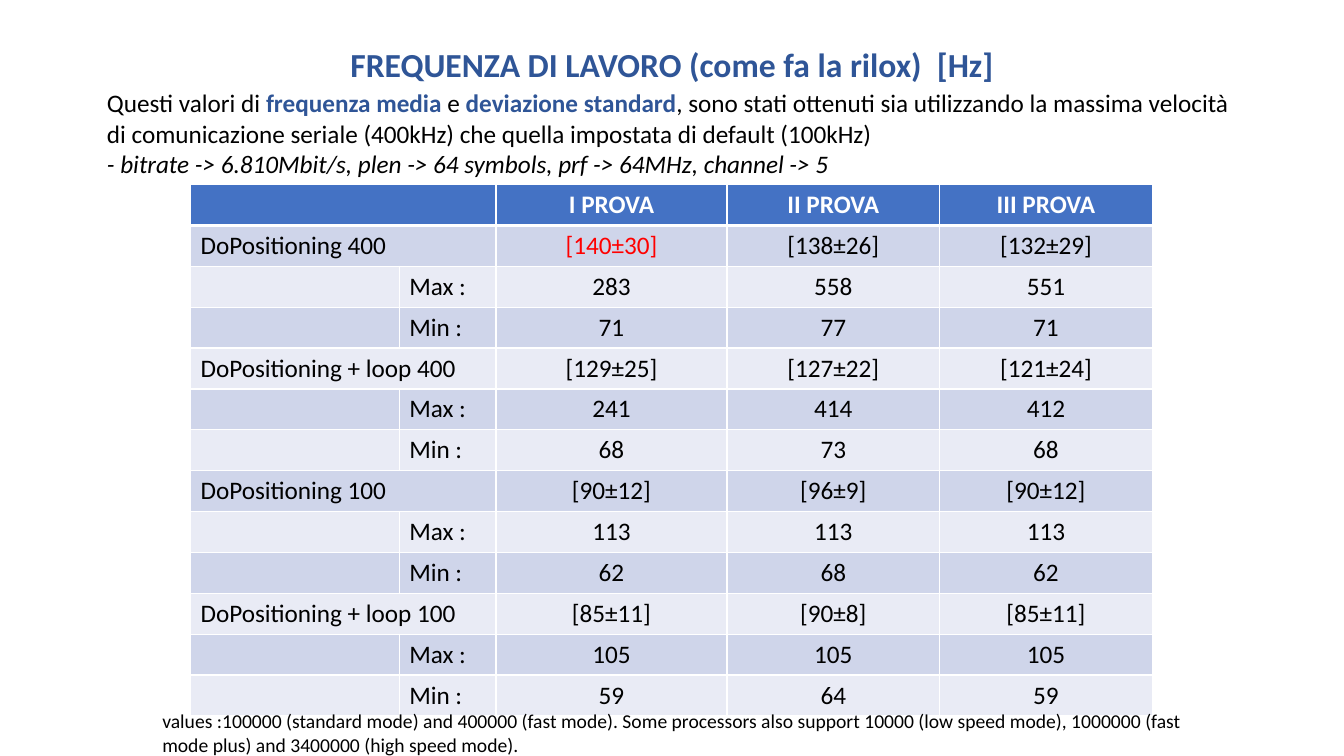
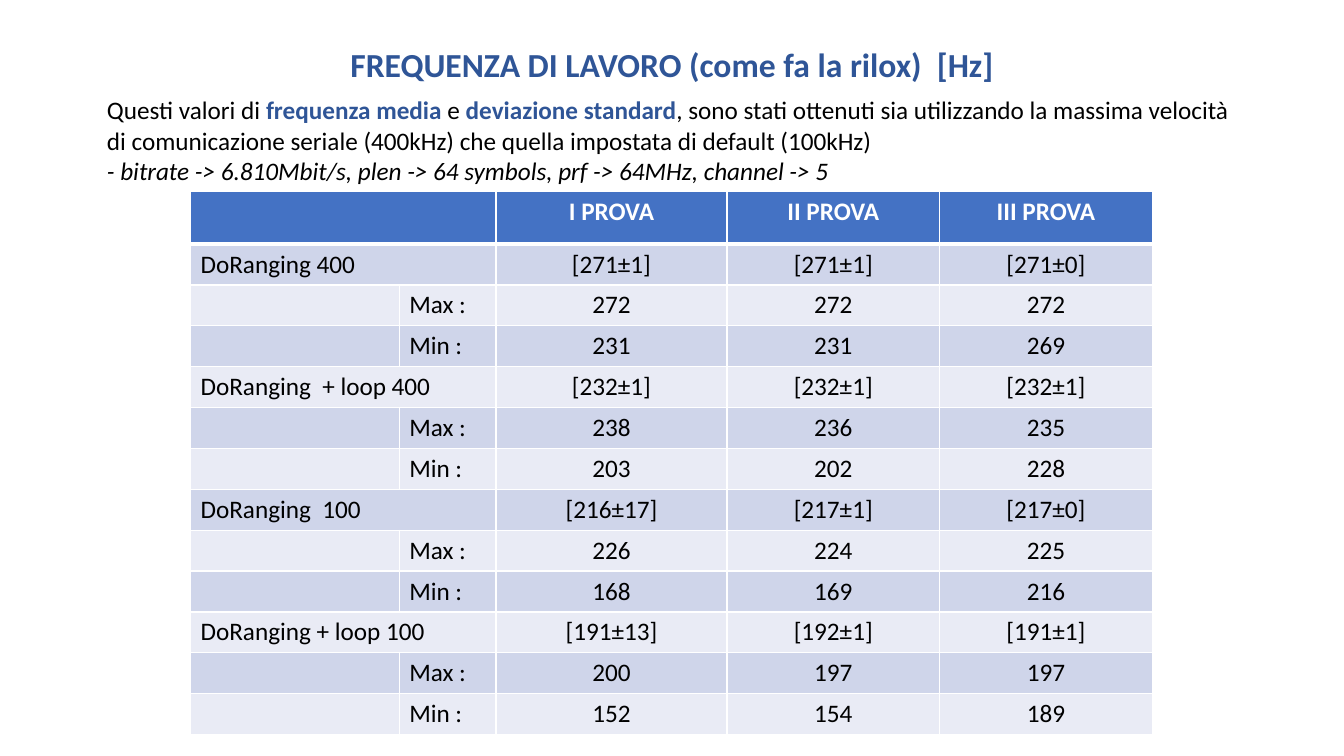
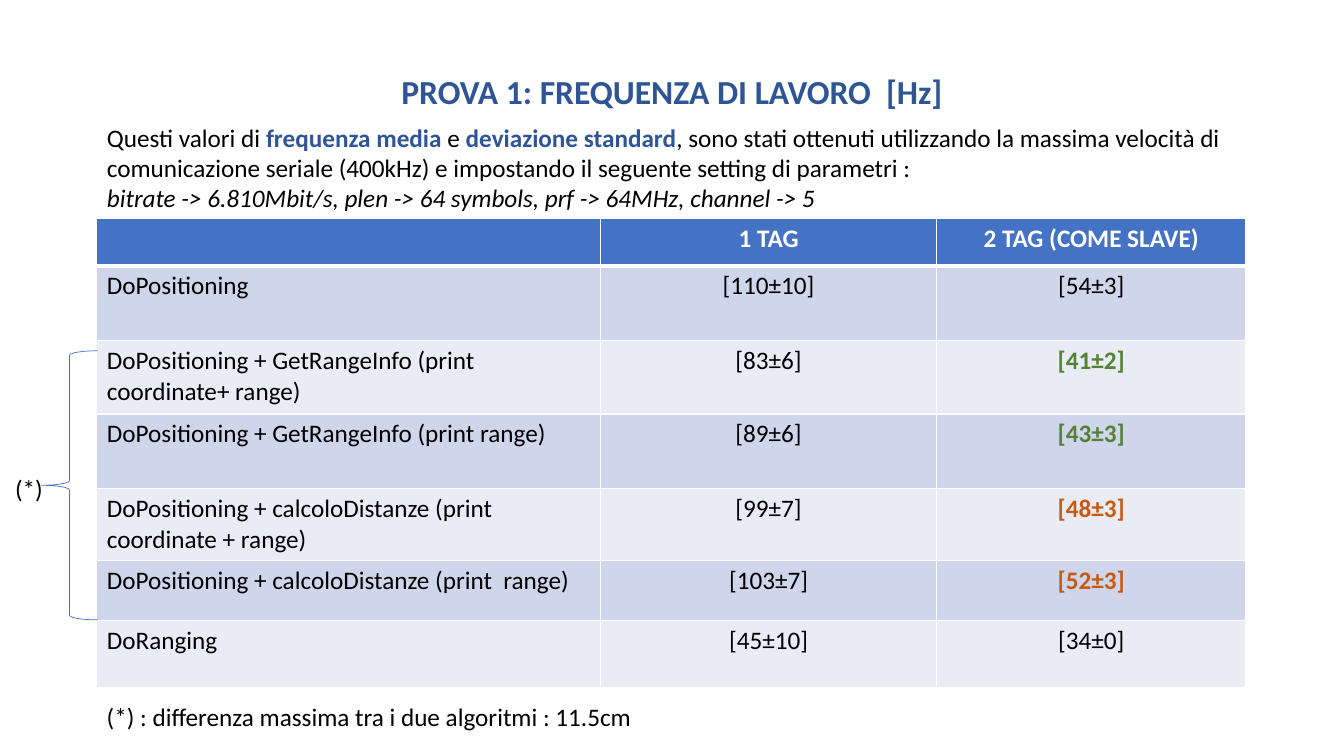
import pptx
import pptx.util
import pptx.dml.color
import pptx.enum.shapes
import pptx.enum.text
import pptx.oxml
import pptx.oxml.ns

Cm = pptx.util.Cm
Pt = pptx.util.Pt
MID = pptx.enum.text.PP_ALIGN.CENTER
LEFT = pptx.enum.text.PP_ALIGN.LEFT
TOP = pptx.enum.text.MSO_ANCHOR.TOP
FIXED = pptx.enum.text.MSO_AUTO_SIZE.NONE

# Shared look
BLUE, NAVY, BLACK, WHITE = "4472C4", "2F5597", "000000", "FFFFFF"
BANDS = ["E9EBF5", "CFD5EA"]
RED, GREEN, RUST = "FF0000", "548235", "C55A11"
WIDE, HIGH = 33.87, 19.05
FONT = {"name": "Calibri", "size": Pt(18), "bold": False, "italic": False}
FRAME = {"word_wrap": True, "auto_size": FIXED, "vertical_anchor": TOP}


def color(code):
    return pptx.dml.color.RGBColor.from_string(code)


def write(para, text, tint=BLACK, **form):
    run = para.add_run()
    run.text = text
    run.font.color.rgb = color(tint)
    for key, value in {**FONT, **form}.items():
        setattr(run.font, key, value)


# Table values: four groups of mean, max and min on the first two slides
heads = [None, None, "I PROVA", "II PROVA", "III PROVA"]
posit = [
    ("DoPositioning 400", "[140±30] [138±26] [132±29]", "283 558 551", "71 77 71"),
    ("DoPositioning + loop 400", "[129±25] [127±22] [121±24]", "241 414 412", "68 73 68"),
    ("DoPositioning 100", "[90±12] [96±9] [90±12]", "113 113 113", "62 68 62"),
    ("DoPositioning + loop 100", "[85±11] [90±8] [85±11]", "105 105 105", "59 64 59"),
]
rang = [
    ("DoRanging 400", "[271±1] [271±1] [271±0]", "272 272 272", "231 231 269"),
    ("DoRanging  + loop 400", "[232±1] [232±1] [232±1]", "238 236 235", "203 202 228"),
    ("DoRanging  100", "[216±17] [217±1] [217±0]", "226 224 225", "168 169 216"),
    ("DoRanging + loop 100", "[191±13] [192±1] [191±1]", "200 197 197", "152 154 189"),
]
grids = []
for groups in (posit, rang):
    grid = [heads]
    for label, mean, most, least in groups:
        grid.append([label, None] + mean.split())
        grid.append([None, "Max :"] + most.split())
        grid.append([None, "Min :"] + least.split())
    grids.append(grid)
grids.append([
    [None, "1 TAG", "2 TAG (COME SLAVE)"],
    ["DoPositioning", "[110±10]", "[54±3]"],
    ["DoPositioning + GetRangeInfo (print coordinate+ range)", "[83±6]", "[41±2]"],
    ["DoPositioning + GetRangeInfo (print range)", "[89±6]", "[43±3]"],
    ["DoPositioning + calcoloDistanze (print coordinate + range)", "[99±7]", "[48±3]"],
    ["DoPositioning + calcoloDistanze (print  range)", "[103±7]", "[52±3]"],
    ["DoRanging", "[45±10]", "[34±0]"],
])

# What differs from slide to slide
work = "FREQUENZA DI LAVORO (come fa la rilox)  [Hz]"
both = (", sono stati ottenuti sia utilizzando la massima velocità di comunicazione "
        "seriale (400kHz) che quella impostata di default (100kHz)")
one = (", sono stati ottenuti utilizzando la massima velocità di comunicazione "
       "seriale (400kHz) e impostando il seguente setting di parametri :")
rate = "bitrate -> 6.810Mbit/s, plen -> 64 symbols, prf -> 64MHz, channel -> 5"
cols = [5.26, 2.44, 5.82, 5.36, 5.36]
pages = [
    {"title": work, "head": (0.97, 22.86), "intro": both, "rate": "- " + rate,
     "top": 2.08, "at": (4.8, 4.65), "cols": cols, "rows": [1.02] * 13,
     "marks": {(1, 2): (RED, False)},
     "notes": [(3.84, 17.75, 26.21, 1.5, 14,
                "values :100000 (standard mode) and 400000 (fast mode). Some processors also "
                "support 10000 (low speed mode), 1000000 (fast mode plus) and 3400000 "
                "(high speed mode).")]},
    {"title": work, "head": (0.97, 22.86), "intro": both, "rate": "- " + rate,
     "top": 2.26, "at": (4.8, 4.83), "cols": cols, "rows": [1.32] + [1.02] * 12,
     "marks": {}, "notes": []},
    {"title": "PROVA 1: FREQUENZA DI LAVORO  [Hz]", "head": (1.65, 15.67),
     "intro": one, "rate": rate, "top": 2.95, "at": (2.44, 5.51),
     "cols": [12.7, 8.46, 7.8], "rows": [1.19, 1.88, 1.85, 1.88, 1.8, 1.52, 1.7],
     "marks": {(2, 2): (GREEN, True), (3, 2): (GREEN, True),
               (4, 2): (RUST, True), (5, 2): (RUST, True)},
     "notes": [(0.13, 11.79, 1.65, 1.02, 18, "(*)"),
               (2.44, 17.55, 30.38, 1.02, 18,
                "(*) : differenza massima tra i due algoritmi : 11.5cm")]},
]

deck = pptx.Presentation()
deck.slide_width, deck.slide_height = Cm(WIDE), Cm(HIGH)

for page, grid in zip(pages, grids):
    slide = deck.slides.add_slide(deck.slide_layouts[1])

    # Title and intro placeholders
    title, intro = slide.shapes.title, slide.placeholders[1]
    top, width = page["head"]
    spots = [(title, (WIDE - width) / 2, top, width, 1.27),
             (intro, 2.44, page["top"], 28.98, 2.57)]
    for shape, *spot in spots:
        for key, value in zip(("left", "top", "width", "height"), spot):
            setattr(shape, key, Cm(value))
        for key, value in FRAME.items():
            setattr(shape.text_frame, key, value)
    para = title.text_frame.paragraphs[0]
    para.alignment = MID
    write(para, page["title"], NAVY, size=Pt(24), bold=True)
    para = intro.text_frame.paragraphs[0]
    write(para, "Questi valori di ")
    write(para, "frequenza media ", NAVY, bold=True)
    write(para, "e ")
    write(para, "deviazione standard", NAVY, bold=True)
    write(para, page["intro"])
    write(intro.text_frame.add_paragraph(), page["rate"], italic=True)
    for para in intro.text_frame.paragraphs:
        para.space_before = Pt(0)
        props = para._p.get_or_add_pPr()
        props.set("marL", "0")
        props.set("indent", "0")
        props.append(pptx.oxml.parse_xml(f'<a:buNone {pptx.oxml.ns.nsdecls("a")}/>'))

    # Table
    left, top = page["at"]
    table = slide.shapes.add_table(
        len(grid), len(grid[0]), Cm(left), Cm(top),
        Cm(sum(page["cols"])), Cm(sum(page["rows"]))).table
    for col, size in zip(table.columns, page["cols"]):
        col.width = Cm(size)
    for row, size in zip(table.rows, page["rows"]):
        row.height = Cm(size)
    first = len(grid[0]) - len(grid[0][1:]) if len(grid[0]) == 3 else 2
    for r, line in enumerate(grid):
        for c, text in enumerate(line):
            cell = table.cell(r, c)
            props = cell._tc.get_or_add_tcPr()
            for side in "LRTB":
                thick = (r, side) in ((0, "B"), (1, "T"))
                props.append(pptx.oxml.parse_xml(
                    f'<a:ln{side} {pptx.oxml.ns.nsdecls("a")} w="{Pt(3 if thick else 1)}">'
                    f'<a:solidFill><a:srgbClr val="{WHITE}"/></a:solidFill></a:ln{side}>'))
            cell.fill.solid()
            cell.fill.fore_color.rgb = color(BANDS[r % 2] if r else BLUE)
            if text:
                para = cell.text_frame.paragraphs[0]
                para.alignment = MID if c >= first else LEFT
                tint, bold = page["marks"].get((r, c), (BLACK, False) if r else (WHITE, True))
                write(para, text, tint, bold=bold)
        if line[1] is None:
            table.cell(r, 0).merge(table.cell(r, 1))

    # Notes
    for left, top, width, height, size, text in page["notes"]:
        note = slide.shapes.add_textbox(Cm(left), Cm(top), Cm(width), Cm(height))
        for key, value in FRAME.items():
            setattr(note.text_frame, key, value)
        write(note.text_frame.paragraphs[0], text, size=Pt(size))

# Brace beside the compared rows of the last slide
brace = slide.shapes.add_shape(
    pptx.enum.shapes.MSO_SHAPE.LEFT_BRACE, Cm(1.04), Cm(8.84), Cm(1.42), Cm(6.78))
brace.shadow.inherit = False
brace.fill.background()
brace.line.color.rgb = color(BLUE)
brace.line.width = Pt(0.5)

deck.save("out.pptx")
